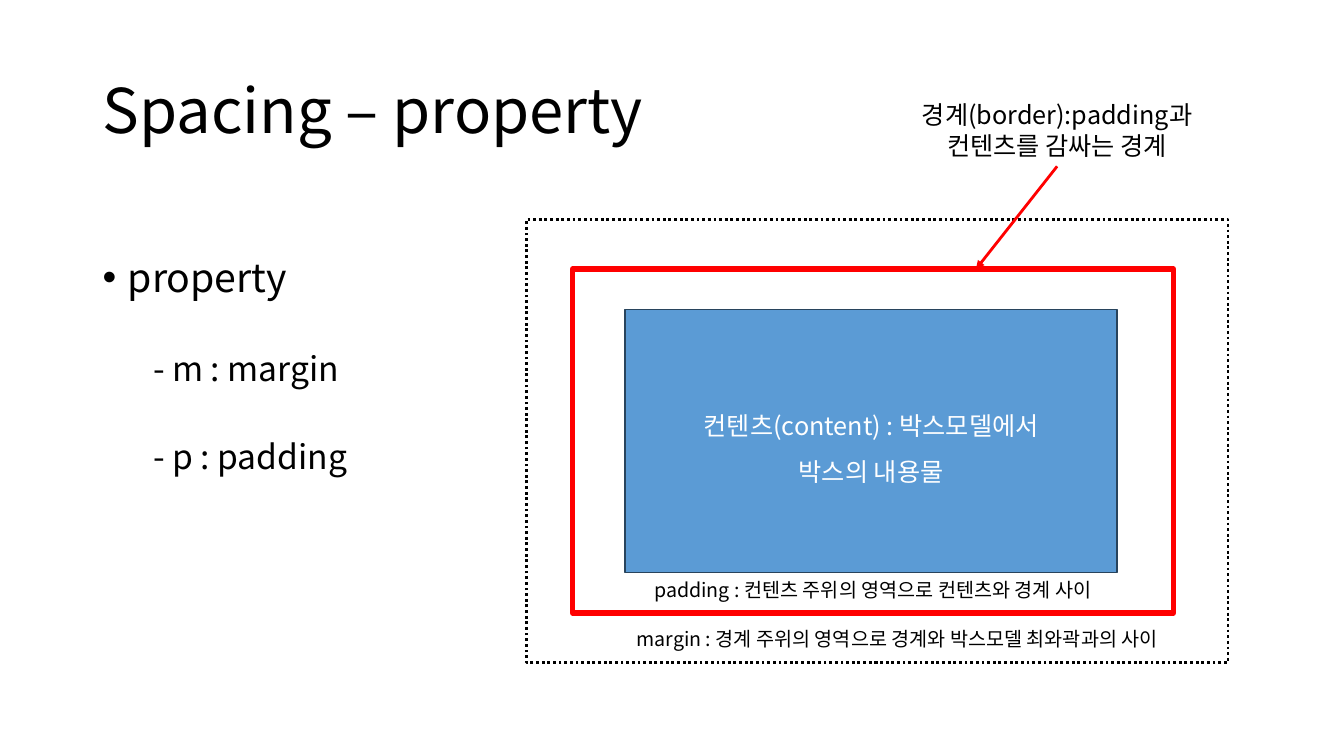
import pptx
import pptx.util
import pptx.dml.color
import pptx.enum.dml
import pptx.enum.shapes
import pptx.enum.text
import pptx.oxml
import pptx.oxml.ns
from pptx.util import Inches

THEME = {
    "font": "Noto Sans CJK KR",
    "black": "000000", "white": "FFFFFF", "red": "FF0000",
    "blue": "5B9BD5", "navy": "28445D",
    "title": 44, "bullet": 28, "sub": 24, "label": 18, "note": 14,
}

TITLE = ("Spacing – property", (0.92, 0.4, 11.5, 1.45))
BODY_AT = (0.92, 2, 3.8, 4.76)
BODY = [
    dict(text="property", size="bullet", bullet="•", indent=0.25, hang=0.25),
    dict(text="- m : margin", size="sub", indent=0.5, before=5),
    dict(text="- p : padding", size="sub", indent=0.5, before=5),
]
# Box model from the outside in: place, fill, line colour, line width, dotted
BOXES = {
    "margin": ((5.22, 2.18, 6.96, 4.39), "white", "black", 2, True),
    "border": ((5.68, 2.67, 5.96, 3.41), "white", "red", 4, False),
    "content": ((6.2, 3.07, 4.88, 2.61), "blue", "navy", 1, False),
}
CONTENT = ["컨텐츠(content) : 박스모델에서", "박스의 내용물"]
CAPTIONS = {
    "padding": ("padding : 컨텐츠 주위의 영역으로 컨텐츠와 경계 사이",
                (6.03, 5.68, 5.26, 0.34), "note"),
    "border": ("경계(border):padding과 컨텐츠를 감싸는 경계",
               (8.9, 0.94, 3.17, 0.71), "label"),
    "margin": ("margin : 경계 주위의 영역으로 경계와 박스모델 최와곽과의 사이",
               (5.87, 6.17, 6.06, 0.34), "note"),
}
ARROW_TIP_X = 9.68

CENTER = pptx.enum.text.PP_ALIGN.CENTER
MIDDLE = pptx.enum.text.MSO_ANCHOR.MIDDLE


def rgb(name):
    return pptx.dml.color.RGBColor.from_string(THEME[name])


def add_xml(parent, tag, **attrs):
    el = pptx.oxml.ns.qn(tag)
    child = parent.makeelement(el, attrs)
    parent.append(child)
    return child


def write(tf, text, *, size, color="black", align=None, spacing=None,
          before=None, bullet=None, indent=0, hang=0):
    """Add one paragraph, filling the empty first one before adding more."""
    first = tf.paragraphs[0]
    p = tf.add_paragraph() if first.runs else first
    pPr = p._p.get_or_add_pPr()
    if indent:
        pPr.set("marL", str(Inches(indent)))
        pPr.set("indent", str(-Inches(hang)))
    if bullet:
        add_xml(pPr, "a:buFont", typeface="Arial")
        add_xml(pPr, "a:buChar", char=bullet)
    if align is not None:
        p.alignment = align
    if spacing:
        p.line_spacing = spacing
    if before:
        p.space_before = pptx.util.Pt(before)
    r = p.add_run()
    r.text = text
    r.font.size = pptx.util.Pt(THEME[size])
    r.font.name = THEME["font"]
    r.font.color.rgb = rgb(color)
    add_xml(r._r.get_or_add_rPr(), "a:ea", typeface=THEME["font"])


def add_text(s, at):
    sp = s.shapes.add_textbox(*map(Inches, at))
    sp.text_frame.word_wrap = True
    return sp


def add_box(s, at, fill, line, width, dotted):
    sp = s.shapes.add_shape(pptx.enum.shapes.MSO_SHAPE.RECTANGLE, *map(Inches, at))
    sp.shadow.inherit = False
    sp.fill.solid()
    sp.fill.fore_color.rgb = rgb(fill)
    sp.line.color.rgb = rgb(line)
    sp.line.width = pptx.util.Pt(width)
    if dotted:
        sp.line.dash_style = pptx.enum.dml.MSO_LINE.ROUND_DOT
    return sp


def add_arrow(s, source, tip_x, tip_y):
    """Draw a red arrow from the bottom middle of source to the tip."""
    c = s.shapes.add_connector(pptx.enum.shapes.MSO_CONNECTOR.STRAIGHT,
                               0, 0, tip_x, tip_y)
    c.begin_connect(source, 2)
    c.line.color.rgb = rgb("red")
    c.line.width = pptx.util.Pt(2)
    add_xml(c.line._get_or_add_ln(), "a:tailEnd", type="triangle")
    add_xml(c._element.spPr, "a:effectLst")


def main():
    prs = pptx.Presentation()
    prs.slide_width, prs.slide_height = Inches(13.33), Inches(7.5)
    s = prs.slides.add_slide(prs.slide_layouts[6])

    title, at = TITLE
    tf = add_text(s, at).text_frame
    tf.vertical_anchor = MIDDLE
    write(tf, title, size="title", spacing=0.9)

    tf = add_text(s, BODY_AT).text_frame
    for item in BODY:
        write(tf, spacing=2.0, **item)

    boxes = {name: add_box(s, *box) for name, box in BOXES.items()}
    tf = boxes["content"].text_frame
    tf.word_wrap = True
    tf.vertical_anchor = MIDDLE
    for line in CONTENT:
        write(tf, line, size="label", color="white", align=CENTER, spacing=1.5)

    captions = {}
    for name, (text, at, size) in CAPTIONS.items():
        captions[name] = add_text(s, at)
        write(captions[name].text_frame, text, size=size, align=CENTER)

    add_arrow(s, captions["border"], Inches(ARROW_TIP_X), boxes["border"].top)
    prs.save("out.pptx")


if __name__ == "__main__":
    main()
